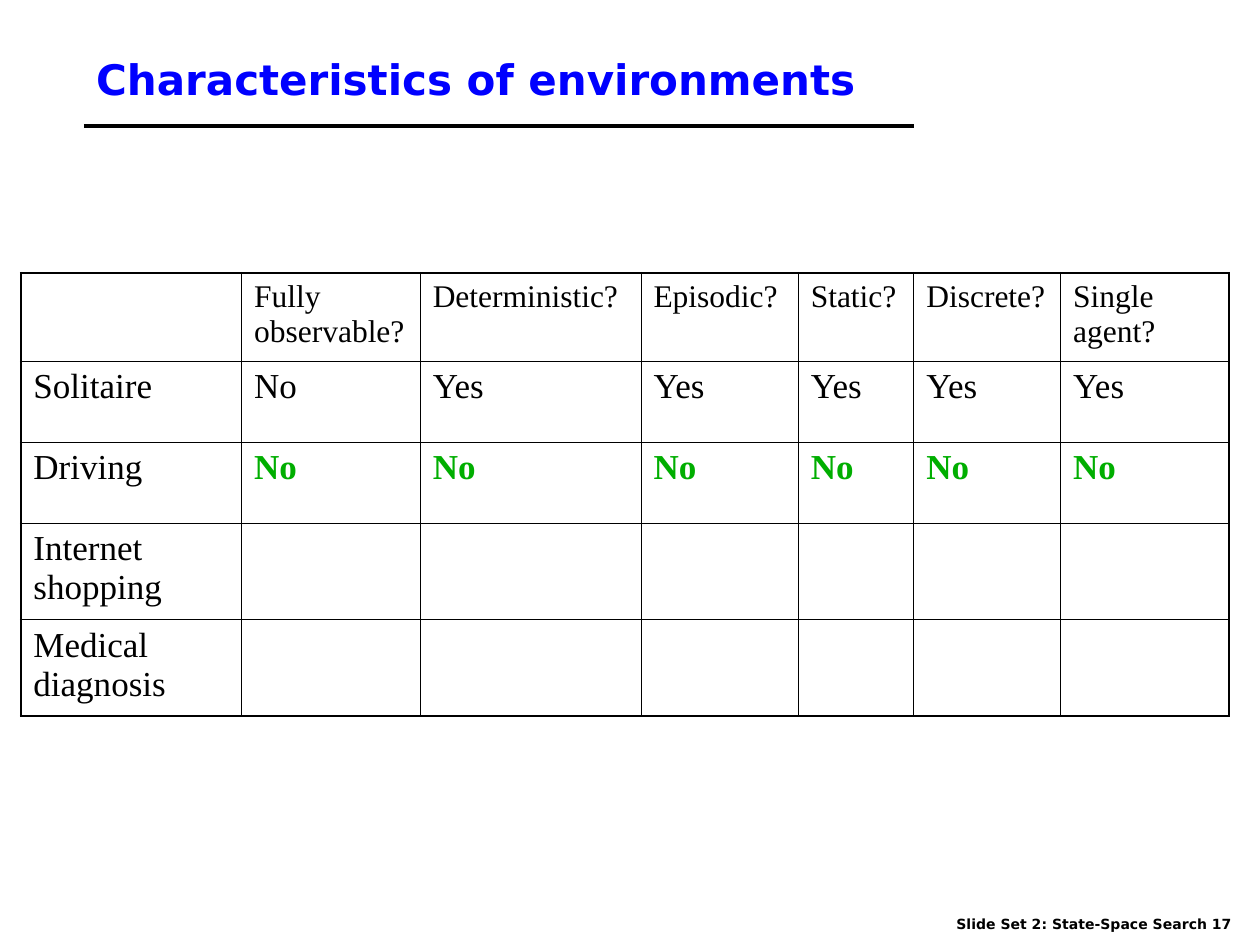
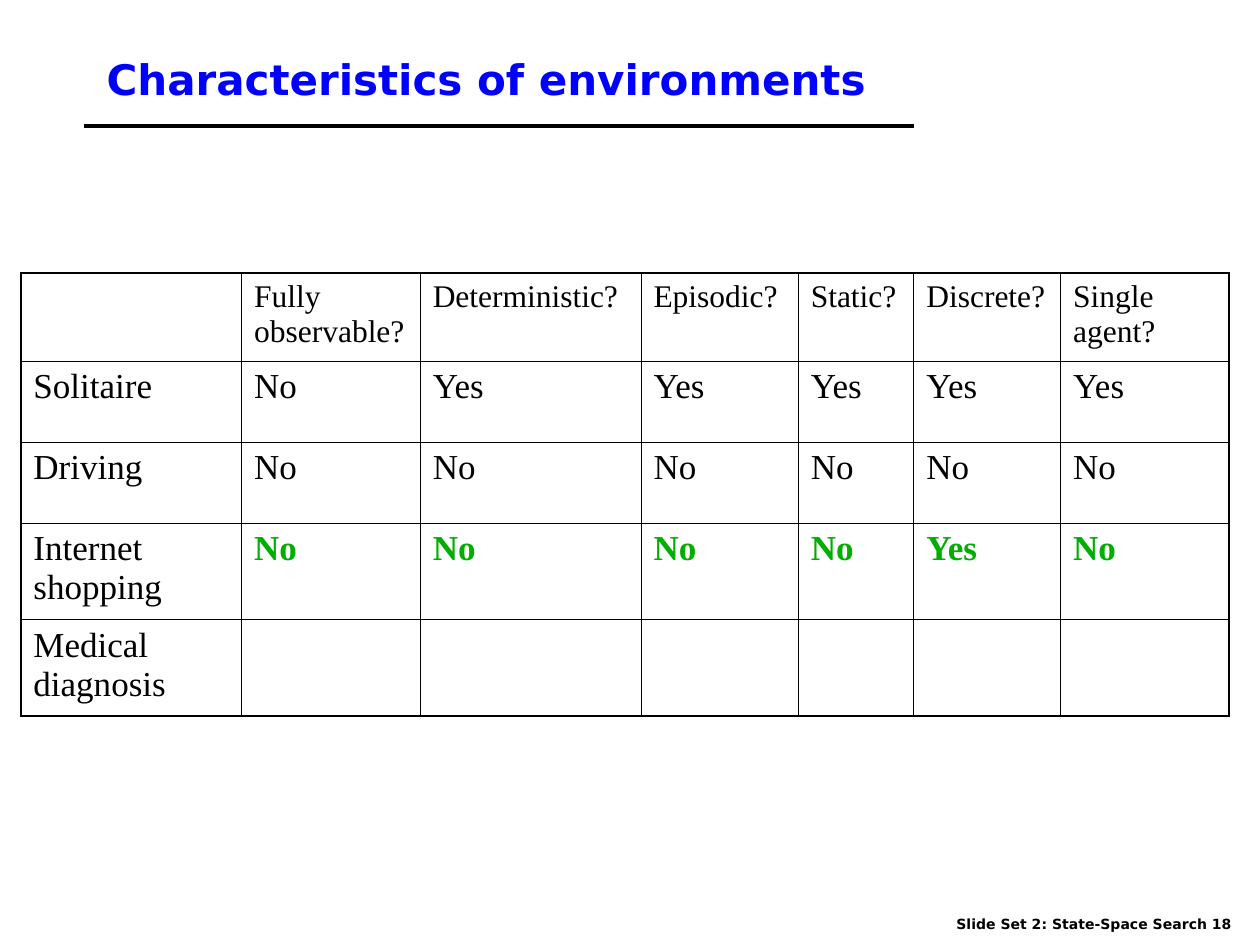
from lxml.etree import SubElement
from pptx import Presentation
from pptx.dml.color import RGBColor
from pptx.enum.shapes import MSO_CONNECTOR
from pptx.enum.text import MSO_ANCHOR
from pptx.oxml.ns import qn
from pptx.util import Cm, Pt

COLORS = {"text": "000000", "title": "0000FF", "answer": "00AE00"}
SANS, SERIF = "DejaVu Sans", "Times New Roman"
OUTER_BORDER, INNER_BORDER = 1.08, 0.45

COLUMN_WIDTHS = [4.45, 3.6, 4.45, 3.17, 2.33, 2.96, 3.39]
ROW_HEIGHTS = [1.78, 1.63, 1.63, 1.95, 1.95]
QUESTIONS = ["", "Fully observable?", "Deterministic?", "Episodic?",
             "Static?", "Discrete?", "Single agent?"]
ENVIRONMENTS = {
    "Solitaire": ["No", "Yes", "Yes", "Yes", "Yes", "Yes"],
    "Driving": ["No"] * 6,
    "Internet shopping": ["No", "No", "No", "No", "Yes", "No"],
    "Medical diagnosis": [""] * 6,
}


class EnvironmentDeck:
    def __init__(self):
        self.deck = Presentation()
        self.deck.slide_width, self.deck.slide_height = Cm(25.4), Cm(19.05)
        self.page = None

    def add_page(self, number):
        self.page = self.deck.slides.add_slide(self.deck.slide_layouts[6])
        self.add_text(f"Slide Set 2: State-Space Search {number}",
                      (19.03, 18.34, 6.3, 0.64), 8, "text")
        self.add_rule()

    def style(self, para, font, size, color, bold=False):
        for span in para.runs:
            span.font.name, span.font.size = font, Pt(size)
            span.font.bold = bold
            span.font.color.rgb = RGBColor.from_string(COLORS[color])

    def add_text(self, text, place, size, color, anchor=MSO_ANCHOR.TOP):
        box = self.page.shapes.add_textbox(*map(Cm, place))
        frame = box.text_frame
        frame.word_wrap, frame.vertical_anchor = True, anchor
        frame.text = text
        self.style(frame.paragraphs[0], SANS, size, color, bold=True)

    def add_title(self, text, place):
        self.add_text(text, place, 24, "title", MSO_ANCHOR.MIDDLE)

    def add_rule(self):
        rule = self.page.shapes.add_connector(
            MSO_CONNECTOR.STRAIGHT, Cm(1.69), Cm(2.54), Cm(18.42), Cm(2.54))
        rule.line.width = Pt(2.25)
        rule.line.color.rgb = RGBColor.from_string(COLORS["text"])
        SubElement(rule.element.spPr, qn("a:effectLst"))

    def add_borders(self, cell, outer_sides):
        """Draw all four sides, heavier where the cell meets the table's edge."""
        properties = cell._tc.get_or_add_tcPr()
        for side, is_outer in outer_sides.items():
            width = OUTER_BORDER if is_outer else INNER_BORDER
            line = SubElement(properties, qn(f"a:ln{side}"), w=str(int(Pt(width))))
            fill = SubElement(line, qn("a:solidFill"))
            SubElement(fill, qn("a:srgbClr"), val=COLORS["text"])

    def add_environment_table(self, answered, highlighted):
        """Show the first `answered` environments' values, one row highlighted."""
        rows = [QUESTIONS]
        for index, (name, values) in enumerate(ENVIRONMENTS.items()):
            rows.append([name] + (values if index < answered else [""] * 6))
        table = self.page.shapes.add_table(
            len(rows), len(QUESTIONS), Cm(0.42), Cm(5.5),
            Cm(sum(COLUMN_WIDTHS)), Cm(sum(ROW_HEIGHTS))).table
        table.first_row = table.horz_banding = False
        for column, width in zip(table.columns, COLUMN_WIDTHS):
            column.width = Cm(width)
        for row, height in zip(table.rows, ROW_HEIGHTS):
            row.height = Cm(height)

        last_row, last_column = len(rows) - 1, len(QUESTIONS) - 1
        for r, values in enumerate(rows):
            for c, value in enumerate(values):
                cell = table.cell(r, c)
                self.add_borders(cell, {"L": c == 0, "R": c == last_column,
                                        "T": r == 0, "B": r == last_row})
                cell.fill.background()
                cell.text_frame.text = value
                is_new = c > 0 and values[0] == highlighted
                self.style(cell.text_frame.paragraphs[0], SERIF,
                           18 if r == 0 else 20,
                           "answer" if is_new else "text", bold=is_new)


def main():
    show = EnvironmentDeck()
    pages = [
        (17, (1.69, 0.64, 21.59, 1.9), 2, "Driving"),
        (18, (1.9, 0.42, 21.59, 2.33), 3, "Internet shopping"),
    ]
    for number, title_place, answered, highlighted in pages:
        show.add_page(number)
        show.add_title("Characteristics of environments", title_place)
        show.add_environment_table(answered, highlighted)
    show.deck.save("out.pptx")


if __name__ == "__main__":
    main()
